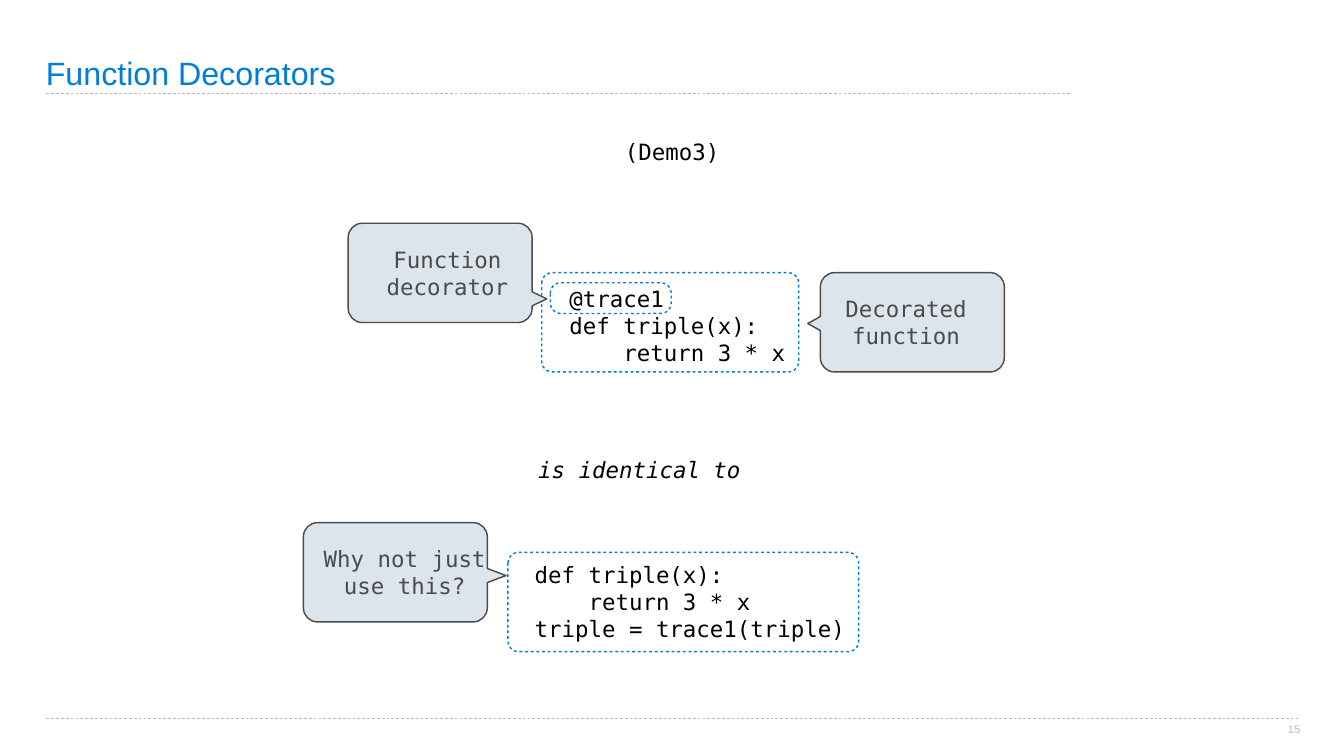
from lxml.etree import SubElement
from pptx import Presentation
from pptx.dml.color import RGBColor
from pptx.enum.dml import MSO_LINE
from pptx.enum.shapes import MSO_CONNECTOR, MSO_SHAPE
from pptx.enum.text import MSO_ANCHOR as Anchor, MSO_AUTO_SIZE, PP_ALIGN as Align
from pptx.oxml.ns import qn
from pptx.util import Inches, Pt

SANS, MONO = "Arial", "DejaVu Sans Mono"
TITLE_BLUE, BOX_BLUE = "007DD6", "007ECF"
BLACK, GREY, DARK, PALE = "000000", "B8B8B8", "4B4B4B", "DCE4EC"
BOX_RADIUS = 0.21
CALLOUT_WIDTH, CALLOUT_HEIGHT, CALLOUT_RADIUS = 3.65, 1.97, 0.28
TAIL_HALF = 0.14
ARC_PULL = 0.55


def rgb(color):
    return RGBColor.from_string(color)


def write(shape, lines, size=32, font=MONO, color=BLACK, align=Align.LEFT,
          anchor=Anchor.MIDDLE, inset=0.06, indent=0, spacing=None, italic=False):
    frame = shape.text_frame
    frame.word_wrap = True
    frame.vertical_anchor = anchor
    frame.margin_left = frame.margin_right = Inches(inset)
    frame.margin_top = frame.margin_bottom = Inches(inset)
    frame.text = "\n".join(lines)
    for paragraph in frame.paragraphs:
        paragraph.alignment = align
        properties = paragraph._p.get_or_add_pPr()
        properties.set("marL", str(Inches(indent)))
        properties.set("indent", "0")
        if spacing:
            paragraph.line_spacing = spacing
        paragraph.font.size = Pt(size)
        paragraph.font.name = font
        paragraph.font.italic = italic
        paragraph.font.color.rgb = rgb(color)


def add_text(slide, left, top, width, height, *lines, **style):
    box = slide.shapes.add_textbox(Inches(left), Inches(top), Inches(width), Inches(height))
    write(box, lines, **style)
    return box


def add_rule(slide, left, right, y):
    rule = slide.shapes.add_connector(
        MSO_CONNECTOR.STRAIGHT, Inches(left), Inches(y), Inches(right), Inches(y))
    rule.line.color.rgb = rgb(GREY)
    rule.line.width = Pt(1)
    rule.line.dash_style = MSO_LINE.DASH
    SubElement(rule._element.spPr, qn("a:effectLst"))


def add_dashed_box(slide, left, top, width, height):
    box = slide.shapes.add_shape(
        MSO_SHAPE.ROUNDED_RECTANGLE, Inches(left), Inches(top), Inches(width), Inches(height))
    box.adjustments[0] = BOX_RADIUS / height
    box.shadow.inherit = False
    box.fill.background()
    box.line.color.rgb = rgb(BOX_BLUE)
    box.line.width = Pt(2)
    dashes = SubElement(box._element.spPr.find(qn("a:ln")), qn("a:custDash"))
    SubElement(dashes, qn("a:ds"), d="200000", sp="200000")


def corner(start, peak, end):
    """Two control points and the end of an arc that bends towards peak."""
    controls = [tuple(p + ARC_PULL * (q - p) for p, q in zip(point, peak))
                for point in (start, end)]
    return [*controls, end]


def callout_segments(left, top, tip_x, tip_y):
    """Counterclockwise segments: one point for a line, three for a curve."""
    right, bottom = left + CALLOUT_WIDTH, top + CALLOUT_HEIGHT
    near_left, near_right = left + CALLOUT_RADIUS, right - CALLOUT_RADIUS
    near_top, near_bottom = top + CALLOUT_RADIUS, bottom - CALLOUT_RADIUS
    left_tail, right_tail = [], []
    if tip_x < left:
        left_tail = [[(left, tip_y - TAIL_HALF)], [(tip_x, tip_y)], [(left, tip_y + TAIL_HALF)]]
    else:
        right_tail = [[(right, tip_y + TAIL_HALF)], [(tip_x, tip_y)], [(right, tip_y - TAIL_HALF)]]
    return [
        [(near_left, top)],
        corner((near_left, top), (left, top), (left, near_top)),
        *left_tail,
        [(left, near_bottom)],
        corner((left, near_bottom), (left, bottom), (near_left, bottom)),
        [(near_right, bottom)],
        corner((near_right, bottom), (right, bottom), (right, near_bottom)),
        *right_tail,
        [(right, near_top)],
        corner((right, near_top), (right, top), (near_right, top)),
    ]


def bend_corners(shape, segments):
    """Join the three lines of each corner into one Bezier curve."""
    outline = next(shape._element.iter(qn("a:path")))
    steps = iter(list(outline))
    for segment in segments:
        parts = [next(steps) for _ in segment]
        if len(parts) == 3:
            curve = SubElement(outline, qn("a:cubicBezTo"))
            parts[0].addprevious(curve)
            for part in parts:
                curve.append(part[0])
                outline.remove(part)


def add_callout(slide, left, top, tip_x, tip_y, label):
    segments = callout_segments(left, top, tip_x, tip_y)
    points = [(Inches(x), Inches(y)) for segment in segments for x, y in segment]
    builder = slide.shapes.build_freeform(*points[0])
    builder.add_line_segments(points[1:], close=True)
    callout = builder.convert_to_shape()
    bend_corners(callout, segments)
    callout.shadow.inherit = False
    callout.fill.solid()
    callout.fill.fore_color.rgb = rgb(PALE)
    callout.line.color.rgb = rgb(DARK)
    callout.line.width = Pt(2)
    write(callout, [label], color=DARK, align=Align.CENTER)


def main():
    deck = Presentation()
    deck.slide_width, deck.slide_height = Inches(26.67), Inches(15)
    slide = deck.slides.add_slide(deck.slide_layouts[6])

    add_rule(slide, 0.92, 21.26, 1.86)
    add_rule(slide, 0.92, 25.78, 14.26)
    add_text(slide, 0.91, 0, 20.31, 1.83, "Function Decorators", size=46, font=SANS,
             color=TITLE_BLUE, anchor=Anchor.BOTTOM, inset=0, spacing=0.9)

    add_text(slide, 11.73, 2.68, 3.22, 0.86, "(Demo3)", align=Align.CENTER, anchor=Anchor.TOP)
    add_text(slide, 11.15, 4.1, 7.58, 4.72,
             "@trace1", "def triple(x):", "    return 3 * x", indent=0.09)
    add_text(slide, 10.62, 8.39, 5.39, 1.58, "is identical to", spacing=Pt(57), italic=True)
    add_text(slide, 10.46, 9.67, 6.46, 4.54,
             "def triple(x):", "    return 3 * x", "triple = trace1(triple)", indent=0.09)

    add_dashed_box(slide, 10.75, 5.41, 5.1, 1.97)
    add_callout(slide, 16.28, 5.41, 16.03, 6.42, "Decorated function")
    add_callout(slide, 6.02, 10.37, 10.04, 11.42, "Why not just use this?")
    add_dashed_box(slide, 10.08, 10.96, 6.96, 1.97)
    add_dashed_box(slide, 10.92, 5.61, 2.4, 0.61)
    add_callout(slide, 6.91, 4.43, 10.85, 5.93, "Function decorator")

    page_number = add_text(slide, 25.55, 14.33, 0.26, 0.24, "15", size=16, font=SANS,
                           color=GREY, align=Align.CENTER, anchor=Anchor.TOP, inset=0)
    page_number.text_frame.word_wrap = False
    page_number.text_frame.auto_size = MSO_AUTO_SIZE.SHAPE_TO_FIT_TEXT

    deck.save("out.pptx")


if __name__ == "__main__":
    main()
